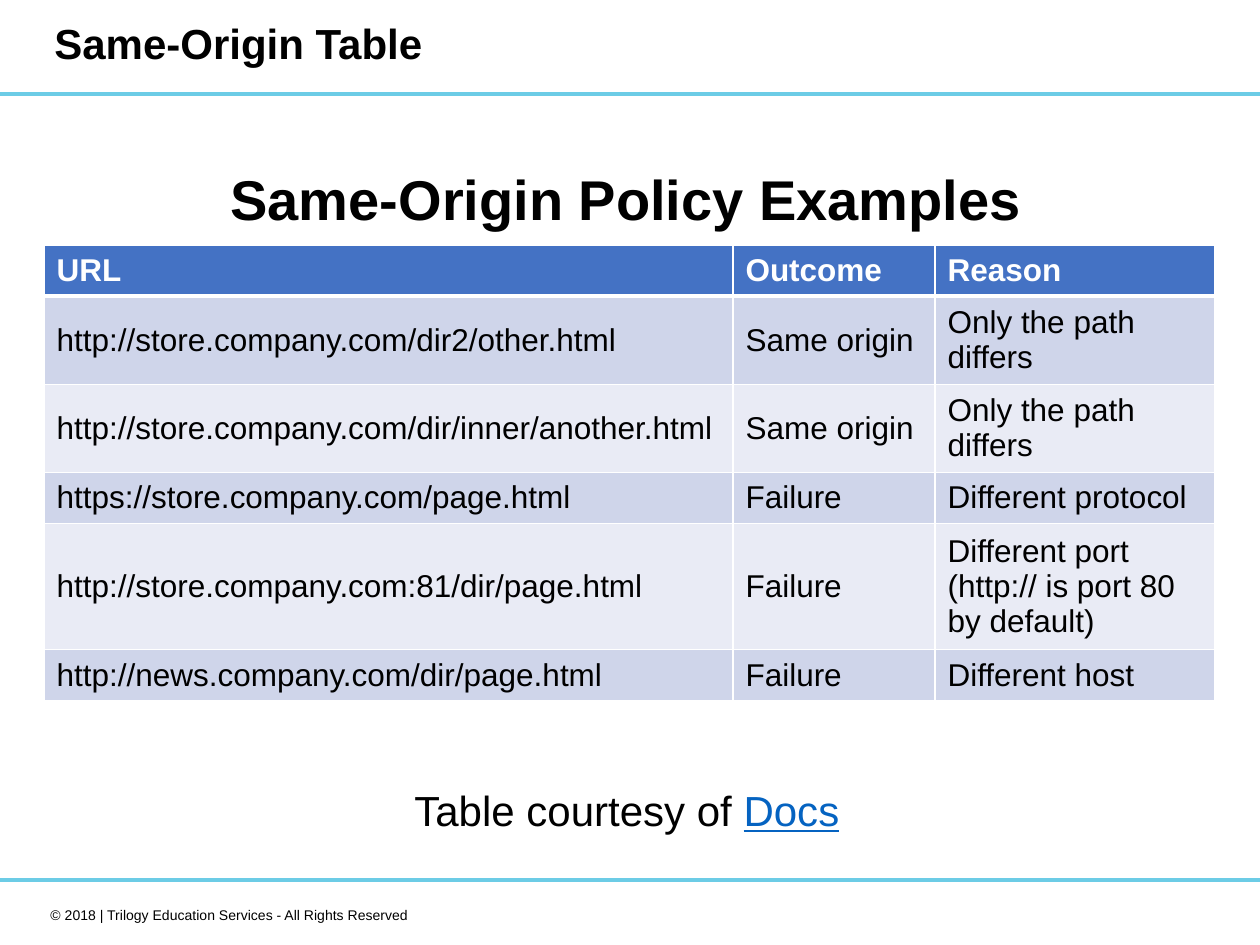
from lxml.etree import SubElement
from pptx import Presentation
from pptx.dml.color import RGBColor
from pptx.enum.shapes import MSO_SHAPE
from pptx.enum.text import MSO_ANCHOR, MSO_AUTO_SIZE, PP_ALIGN
from pptx.oxml.ns import qn
from pptx.util import Pt

PX = 914400 / 126  # EMU per px
BLACK = RGBColor(0x00, 0x00, 0x00)
WHITE = RGBColor(0xFF, 0xFF, 0xFF)
CYAN = RGBColor(0x6C, 0xCC, 0xE6)
HEADER_BLUE = RGBColor(0x44, 0x72, 0xC4)
BAND_DARK = RGBColor(0xCF, 0xD5, 0xEA)
BAND_LIGHT = RGBColor(0xE9, 0xEB, 0xF5)
LINK_BLUE = RGBColor(0x05, 0x63, 0xC1)

COLUMN_WIDTHS = (689, 202, 280)
ROW_HEIGHT = 51
POLICY_ROWS = (
    ("URL", "Outcome", "Reason"),
    ("http://store.company.com/dir2/other.html", "Same origin", "Only the path differs"),
    ("http://store.company.com/dir/inner/another.html", "Same origin", "Only the path differs"),
    ("https://store.company.com/page.html", "Failure", "Different protocol"),
    ("http://store.company.com:81/dir/page.html", "Failure",
     "Different port (http:// is port 80 by default)"),
    ("http://news.company.com/dir/page.html", "Failure", "Different host"),
)


def emu(*lengths):
    return [round(length * PX) for length in lengths]


def add_run(paragraph, text, size, color=BLACK, bold=False, underline=None):
    run = paragraph.add_run()
    run.text = text
    font = run.font
    font.name = "Arial"
    font.size = Pt(size)
    font.bold = bold
    font.underline = underline
    font.color.rgb = color


def add_text(slide, box, wrap=False, anchor=MSO_ANCHOR.TOP, grow=True):
    frame = slide.shapes.add_textbox(*emu(*box)).text_frame
    frame.word_wrap = wrap
    frame.vertical_anchor = anchor
    frame.auto_size = MSO_AUTO_SIZE.SHAPE_TO_FIT_TEXT if grow else MSO_AUTO_SIZE.NONE
    return frame.paragraphs[0]


def add_rule(slide, box):
    rule = slide.shapes.add_shape(MSO_SHAPE.FLOWCHART_PROCESS, *emu(*box))
    rule.shadow.inherit = False
    rule.fill.solid()
    rule.fill.fore_color.rgb = CYAN
    rule.line.fill.background()


def add_header(slide, left, top, width, height):
    add_rule(slide, (left, top + height - 4, width, 4))
    title = add_text(slide, (left + 42, top, 753, height - 5), True, MSO_ANCHOR.MIDDLE, False)
    title.line_spacing = 0.9
    add_run(title, "Same-Origin Table", 24, bold=True)


def add_footer(slide, left, top, width):
    add_rule(slide, (left, top, width, 4))
    copyright_line = add_text(slide, (left + 21, top + 22, 400, 30), True)
    copyright_line.alignment = PP_ALIGN.RIGHT
    add_run(copyright_line, "© 2018 | Trilogy Education Services - All Rights Reserved", 8)


def set_borders(cell, top, bottom):
    properties = cell._tc.get_or_add_tcPr()
    sides = (("a:lnL", 1), ("a:lnR", 1), ("a:lnT", top), ("a:lnB", bottom))
    for position, (side, points) in enumerate(sides):
        line = SubElement(properties, qn(side), w=str(Pt(points)))
        fill = SubElement(line, qn("a:solidFill"))
        SubElement(fill, qn("a:srgbClr"), val=str(WHITE))
        properties.insert(position, line)  # borders come before the fill


def add_policy_table(slide, left, top):
    box = (left, top, sum(COLUMN_WIDTHS), ROW_HEIGHT * len(POLICY_ROWS))
    table = slide.shapes.add_table(len(POLICY_ROWS), len(COLUMN_WIDTHS), *emu(*box)).table
    for column, width in zip(table.columns, emu(*COLUMN_WIDTHS)):
        column.width = width
    for row, texts in enumerate(POLICY_ROWS):
        header = row == 0
        band = HEADER_BLUE if header else BAND_DARK if row % 2 else BAND_LIGHT
        for cell, text in zip(table.rows[row].cells, texts):
            cell.vertical_anchor = MSO_ANCHOR.MIDDLE
            cell.fill.solid()
            cell.fill.fore_color.rgb = band
            set_borders(cell, top=3 if row == 1 else 1, bottom=3 if header else 1)
            add_run(cell.text_frame.paragraphs[0], text, 18, WHITE if header else BLACK, header)


def add_body(slide, left, top):
    add_policy_table(slide, left, top + 87)
    # Source of the table
    credit = add_text(slide, (left + 358, top + 620, 455, 63))
    add_run(credit, "Table courtesy of ", 24)
    add_run(credit, "Docs", 24, LINK_BLUE, underline=True)
    # Heading above the table
    heading = add_text(slide, (left + 174, top, 823, 81))
    add_run(heading, "Same-Origin Policy Examples", 32, bold=True)


def main():
    presentation = Presentation()
    presentation.slide_width, presentation.slide_height = emu(1260, 945)
    slide = presentation.slides.add_slide(presentation.slide_layouts[6])
    add_footer(slide, 0, 878, 1260)
    add_header(slide, 0, 0, 1260, 96)
    add_body(slide, 44, 158)
    presentation.save("out.pptx")


if __name__ == "__main__":
    main()
